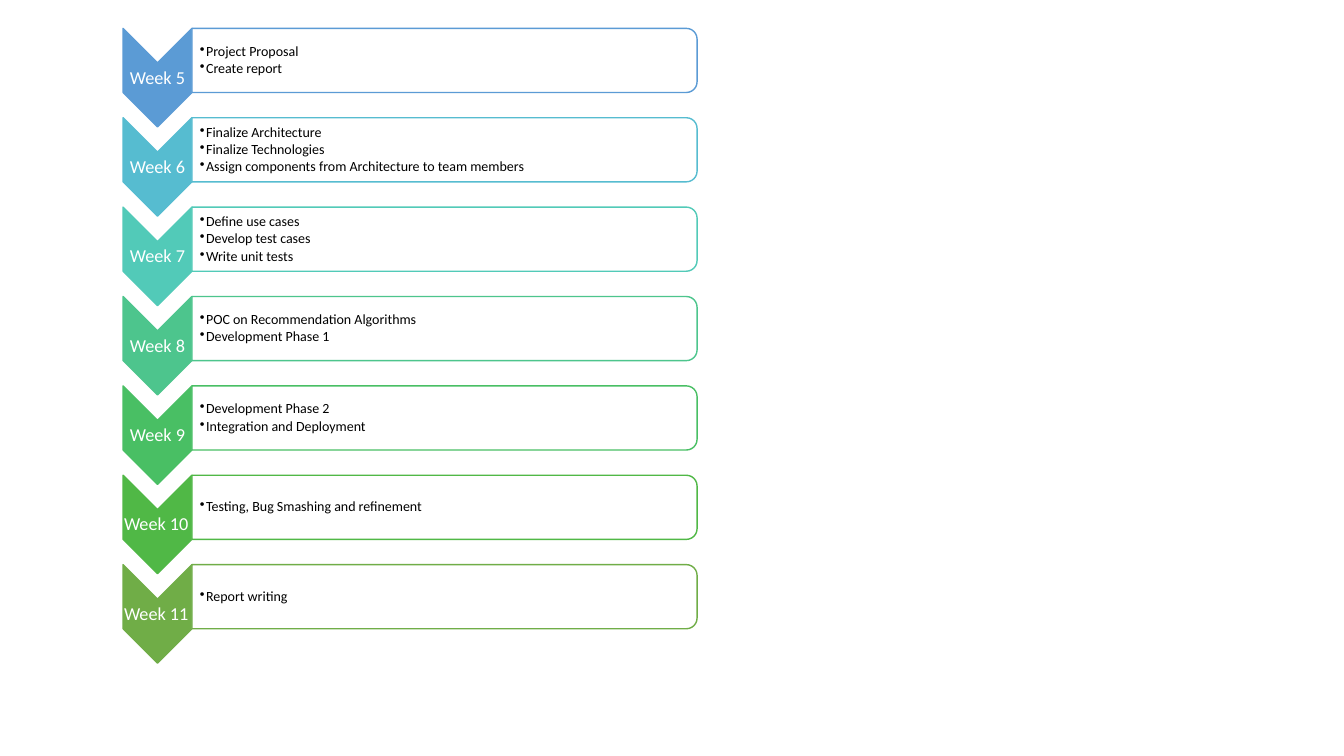
from lxml import etree
from pptx import Presentation
from pptx.dml.color import RGBColor
from pptx.enum.shapes import MSO_SHAPE
from pptx.enum.text import MSO_ANCHOR, PP_ALIGN
from pptx.oxml.ns import qn
from pptx.util import Pt

CHEVRON, ROUND_TOP = MSO_SHAPE.CHEVRON, MSO_SHAPE.ROUND_2_SAME_RECTANGLE
MIDDLE = MSO_ANCHOR.MIDDLE
CENTER, LEFT, JUSTIFY = PP_ALIGN.CENTER, PP_ALIGN.LEFT, PP_ALIGN.JUSTIFY

WHITE = RGBColor(0xFF, 0xFF, 0xFF)
BLACK = RGBColor(0x00, 0x00, 0x00)
FONT = "Calibri"

# Week label, label alignment, colour, tasks
WEEKS = [
    ("Week 5", CENTER, RGBColor(0x5B, 0x9B, 0xD5),
     ["Project Proposal", "Create report"]),
    ("Week 6", CENTER, RGBColor(0x56, 0xBC, 0xD0),
     ["Finalize Architecture", "Finalize Technologies",
      "Assign components from Architecture to team members"]),
    ("Week 7", CENTER, RGBColor(0x52, 0xCA, 0xB8),
     ["Define use cases", "Develop test cases", "Write unit tests"]),
    ("Week 8", CENTER, RGBColor(0x4D, 0xC5, 0x8D),
     ["POC on Recommendation Algorithms", "Development Phase 1"]),
    ("Week 9", CENTER, RGBColor(0x49, 0xBF, 0x64),
     ["Development Phase 2", "Integration and Deployment"]),
    ("Week 10", JUSTIFY, RGBColor(0x50, 0xB8, 0x46),
     ["Testing, Bug Smashing and refinement"]),
    ("Week 11", JUSTIFY, RGBColor(0x70, 0xAD, 0x47),
     ["Report writing"]),
]

# Row measures in points
ROW_PITCH = 63.84
CHEVRON_W, CHEVRON_H = 49.2, 70.3
PANEL_H = 45.8
LABEL_TOP, LABEL_H = 25, 21
TEXT_PAD = 2.2


def add_turned_shape(slide, kind, left, top, width, height, fill, line):
    """Add a shape turned by 90 degrees that fills the given box."""
    shift = (width - height) / 2
    sp = slide.shapes.add_shape(kind, Pt(left + shift), Pt(top - shift),
                                Pt(height), Pt(width))
    sp.rotation = 90
    sp.shadow.inherit = False
    sp.fill.solid()
    sp.fill.fore_color.rgb = fill
    sp.line.color.rgb = line
    sp.line.width = Pt(1)


def add_text(slide, left, top, width, height, lines, size, color, align,
             space_after, inset_left=0.7):
    """Add a vertically centred text box and return its paragraphs."""
    box = slide.shapes.add_textbox(Pt(left), Pt(top), Pt(width), Pt(height))
    tf = box.text_frame
    tf.word_wrap = True
    tf.vertical_anchor = MIDDLE
    tf.margin_left = Pt(inset_left)
    tf.margin_top = tf.margin_right = tf.margin_bottom = Pt(0.7)
    tf.text = "\n".join(lines)
    for p in tf.paragraphs:
        p.alignment = align
        p.line_spacing = 0.9
        p.space_after = Pt(space_after)
        p.font.name = FONT
        p.font.size = Pt(size)
        p.font.color.rgb = color
    return tf.paragraphs


def add_bullet(p):
    pPr = p._p.get_or_add_pPr()
    pPr.set("marL", str(Pt(4.5)))
    pPr.set("indent", str(Pt(-4.5)))
    bullet = etree.Element(qn("a:buChar"), char="•")
    pPr.find(qn("a:spcAft")).addnext(bullet)


def add_week(slide, left, top, width, label, align, color, tasks):
    # Chevron with its week label
    add_turned_shape(slide, CHEVRON, left, top, CHEVRON_W, CHEVRON_H,
                     color, color)
    add_text(slide, left, top + LABEL_TOP, CHEVRON_W, LABEL_H, [label],
             13, WHITE, align, 4.5)

    # Outlined panel with the task list
    panel_left, panel_w = left + CHEVRON_W, width - CHEVRON_W
    add_turned_shape(slide, ROUND_TOP, panel_left, top, panel_w, PANEL_H,
                     WHITE, color)
    paragraphs = add_text(slide, panel_left, top + TEXT_PAD,
                          panel_w - TEXT_PAD, PANEL_H - 2 * TEXT_PAD, tasks,
                          10, BLACK, LEFT, 1.5, inset_left=5.6)
    for p in paragraphs:
        add_bullet(p)


def add_schedule(slide, left, top, width):
    for i, week in enumerate(WEEKS):
        add_week(slide, left, top + i * ROW_PITCH, width, *week)


def main():
    prs = Presentation()
    prs.slide_width, prs.slide_height = Pt(960), Pt(540)
    slide = prs.slides.add_slide(prs.slide_layouts[6])
    add_schedule(slide, 87.9, 20.3, 410)
    prs.save("out.pptx")


if __name__ == "__main__":
    main()
